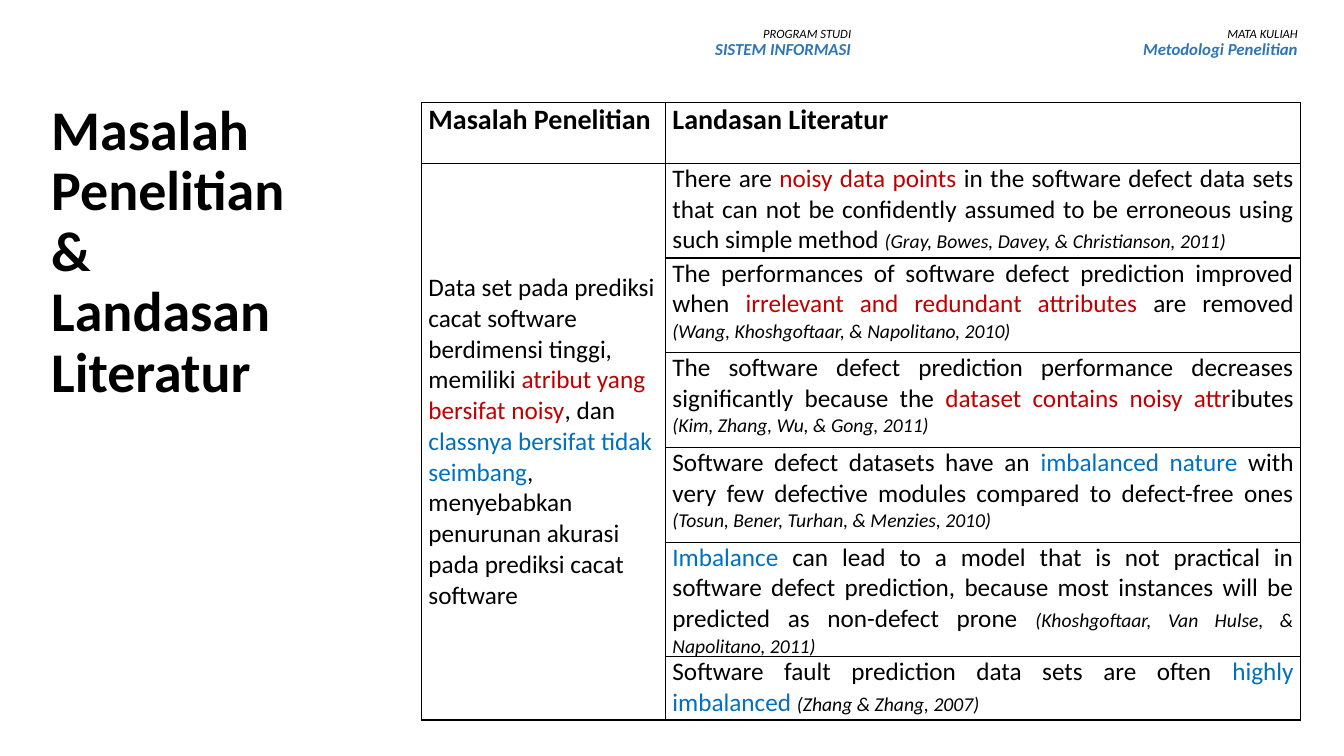
from lxml.etree import SubElement
from pptx import Presentation
from pptx.dml.color import RGBColor
from pptx.enum.text import MSO_ANCHOR, PP_ALIGN
from pptx.oxml.ns import qn
from pptx.util import Inches, Pt

COLORS = {"black": "000000", "steel": "2E75B6", "red": "C00000", "blue": "0070C0"}

HEADING = {"size": Pt(20), "bold": True}
BODY = {"size": Pt(18)}
CITATION = {"size": Pt(14), "italic": True}
SMALL_LABEL = {"size": Pt(9), "italic": True}
LABEL = {"size": Pt(12), "bold": True, "italic": True}
TITLE = {"size": Pt(40), "bold": True}

TITLE_LINES = ["Masalah", "Penelitian", "&", "Landasan Literatur"]
PAGE_LABELS = [
    (10.46, "MATA KULIAH", "Metodologi Penelitian"),
    (6.03, "PROGRAM STUDI", "SISTEM INFORMASI"),
]
TABLE_HEADINGS = ["Masalah Penelitian", "Landasan Literatur"]
COLUMN_WIDTHS = [2.42, 6.3]
ROW_HEIGHTS = [0.6] + [0.94] * 5 + [0.63]
PROBLEM = [
    ("Data set pada prediksi cacat software berdimensi tinggi, memiliki ", "black"),
    ("atribut yang bersifat noisy", "red"),
    (", dan ", "black"),
    ("classnya bersifat tidak seimbang", "blue"),
    (", menyebabkan penurunan akurasi pada prediksi cacat software", "black"),
]
# Each entry: text before the highlight, highlight, its colour, text after, citation
LITERATURE = [
    ("There are ", "noisy data points ", "red",
     "in the software defect data sets that can not be confidently assumed "
     "to be erroneous using such simple method ",
     "(Gray, Bowes, Davey, & Christianson, 2011)"),
    ("The performances of software defect prediction improved when ",
     "irrelevant and redundant attributes", "red", " are removed ",
     "(Wang, Khoshgoftaar, & Napolitano, 2010)"),
    ("The software defect prediction performance decreases significantly because the ",
     "dataset contains noisy attr", "red", "ibutes ",
     "(Kim, Zhang, Wu, & Gong, 2011)"),
    ("Software defect datasets have an ", "imbalanced nature ", "blue",
     "with very few defective modules compared to defect-free ones ",
     "(Tosun, Bener, Turhan, & Menzies, 2010)"),
    ("", "Imbalance", "blue",
     " can lead to a model that is not practical in software defect prediction, "
     "because most instances will be predicted as non-defect prone ",
     "(Khoshgoftaar, Van Hulse, & Napolitano, 2011)"),
    ("Software fault prediction data sets are often ", "highly imbalanced ", "blue", "",
     "(Zhang & Zhang, 2007)"),
]


def set_attributes(target, values):
    for name, value in values.items():
        setattr(target, name, value)


class SlideBuilder:
    font_name = "Calibri"
    cell_format = {
        "margin_left": Inches(0.07), "margin_right": Inches(0.07),
        "margin_top": 0, "margin_bottom": 0,
    }

    def __init__(self, page):
        self.page = page

    def fill_paragraph(self, para, spans, values):
        """Write (text, colour name, font format) spans into a paragraph."""
        set_attributes(para, values)
        for text, color, font_format in spans:
            if text:
                span = para.add_run()
                span.text = text
                set_attributes(span.font, {"name": self.font_name, **font_format})
                span.font.color.rgb = RGBColor.from_string(COLORS[color])

    def add_text(self, left, top, width, height, lines, align, anchor):
        box = self.page.shapes.add_textbox(
            Inches(left), Inches(top), Inches(width), Inches(height))
        frame = box.text_frame
        set_attributes(frame, {"word_wrap": True, "vertical_anchor": anchor})
        for index, line in enumerate(lines):
            para = frame.add_paragraph() if index else frame.paragraphs[0]
            self.fill_paragraph(para, [line], {"alignment": align, "line_spacing": 0.9})

    def add_table(self, left, top, widths, heights):
        table = self.page.shapes.add_table(
            len(heights), len(widths), Inches(left), Inches(top),
            Inches(sum(widths)), Inches(sum(heights))).table
        set_attributes(table, {"first_row": False, "horz_banding": False})
        for column, width in zip(table.columns, widths):
            column.width = Inches(width)
        for row, height in zip(table.rows, heights):
            row.height = Inches(height)
        for cell in table.iter_cells():
            set_attributes(cell, self.cell_format)
            self.add_borders(cell)
            cell.fill.background()
        return table

    def add_borders(self, cell):
        properties = cell._tc.get_or_add_tcPr()
        for side in ("a:lnL", "a:lnR", "a:lnT", "a:lnB"):
            line = SubElement(properties, qn(side), w=str(Pt(1)))
            fill = SubElement(line, qn("a:solidFill"))
            SubElement(fill, qn("a:srgbClr"), val=COLORS["black"])

    def fill_cell(self, cell, spans, align=PP_ALIGN.JUSTIFY, anchor=MSO_ANCHOR.TOP):
        cell.vertical_anchor = anchor
        self.fill_paragraph(cell.text_frame.paragraphs[0], spans,
                            {"alignment": align, "space_after": Pt(11)})


def main():
    deck = Presentation()
    set_attributes(deck, {"slide_width": Inches(13.33), "slide_height": Inches(7.5)})
    builder = SlideBuilder(deck.slides.add_slide(deck.slide_layouts[6]))

    for left, caption, name in PAGE_LABELS:
        lines = [(caption, "black", SMALL_LABEL), (name, "steel", LABEL)]
        builder.add_text(left, 0.22, 2.51, 0.56, lines, PP_ALIGN.RIGHT, MSO_ANCHOR.TOP)
    builder.add_text(0.41, 1.54, 3.32, 1.94,
                     [(line, "black", TITLE) for line in TITLE_LINES],
                     PP_ALIGN.LEFT, MSO_ANCHOR.MIDDLE)

    table = builder.add_table(4.18, 1.02, COLUMN_WIDTHS, ROW_HEIGHTS)
    for column, heading in enumerate(TABLE_HEADINGS):
        builder.fill_cell(table.cell(0, column), [(heading, "black", HEADING)])
    problem_cell = table.cell(1, 0)
    problem_cell.merge(table.cell(len(LITERATURE), 0))
    builder.fill_cell(problem_cell, [(text, color, BODY) for text, color in PROBLEM],
                      PP_ALIGN.LEFT, MSO_ANCHOR.MIDDLE)
    for row, (before, highlight, color, after, citation) in enumerate(LITERATURE, start=1):
        builder.fill_cell(table.cell(row, 1), [
            (before, "black", BODY), (highlight, color, BODY),
            (after, "black", BODY), (citation, "black", CITATION)])

    deck.save("out.pptx")


if __name__ == "__main__":
    main()
